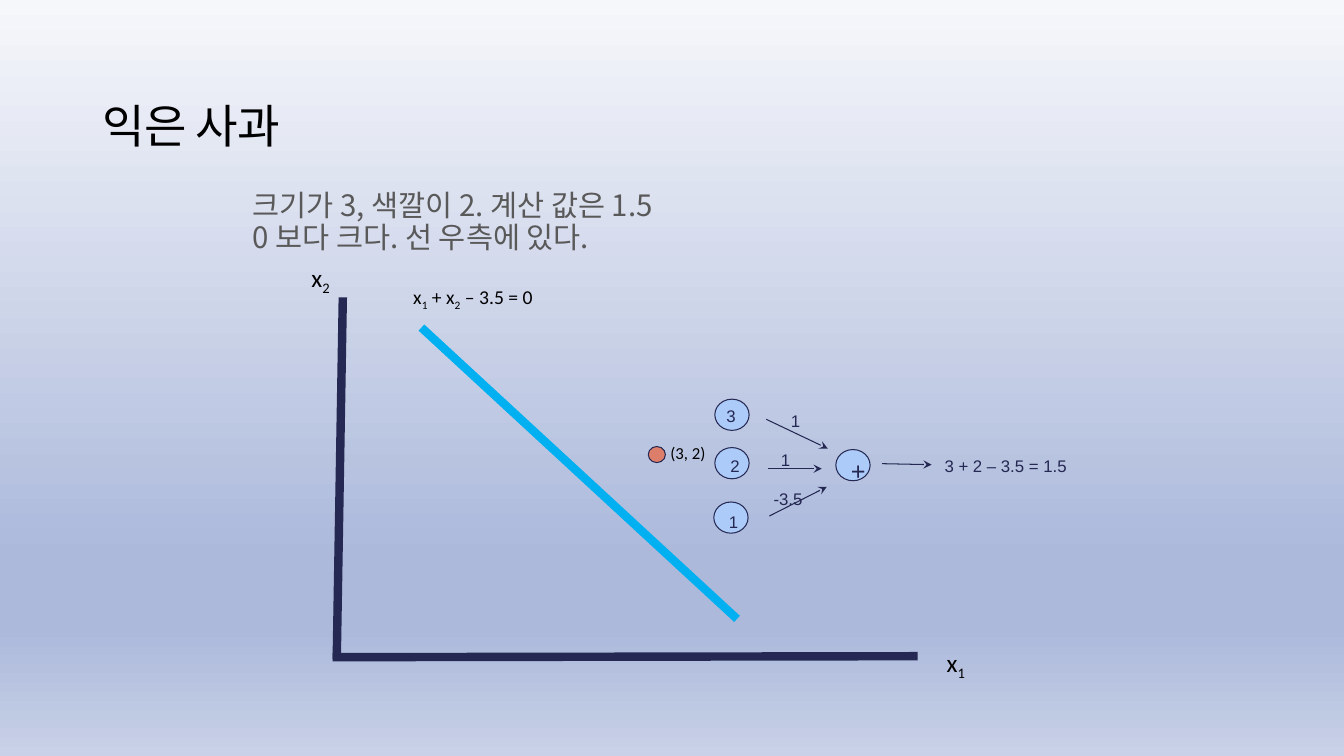
"""Build a slide that classifies a ripe apple with a linear decision boundary."""
from typing import NamedTuple

from lxml import etree
from pptx import Presentation
from pptx.dml.color import RGBColor
from pptx.enum.shapes import MSO_CONNECTOR, MSO_SHAPE
from pptx.enum.text import MSO_ANCHOR, PP_ALIGN
from pptx.oxml.ns import qn
from pptx.slide import Slide
from pptx.util import Emu, Pt

EMU_PER_PX = 9144
STRAIGHT = MSO_CONNECTOR.STRAIGHT
OVAL = MSO_SHAPE.OVAL
POINT = MSO_SHAPE.FLOWCHART_CONNECTOR
LEFT, CENTER = PP_ALIGN.LEFT, PP_ALIGN.CENTER
TOP, MIDDLE = MSO_ANCHOR.TOP, MSO_ANCHOR.MIDDLE
KOREAN_FONT = "Noto Sans CJK KR"
COLORS = {
    "navy": "242852",
    "boundary": "00B0F0",
    "neuron": "ACCBF9",
    "apple": "DD7E6B",
    "black": "000000",
    "gray": "595959",
}
BACKGROUND_STOPS = [(0, "F6F7FB"), (74, "ACB9DB"), (83, "ACB9DB"), (100, "C8D1E7")]


class Box(NamedTuple):
    left: int
    top: int
    width: int
    height: int


class Line(NamedTuple):
    start: tuple[int, int]
    end: tuple[int, int]
    color: str = "navy"
    weight: float = 0.75
    arrow: bool = True


class Label(NamedTuple):
    text: str
    box: Box
    size: int = 12
    align: PP_ALIGN = CENTER


AXES_AND_BOUNDARY = [
    Line((330, 652), (910, 651), weight=6, arrow=False),
    Line((418, 325), (731, 614), "boundary", 6, False),
    Line((340, 295), (334, 654), weight=6, arrow=False),
]
ARROWS = [
    Line((760, 416), (821, 445)),
    Line((762, 465), (815, 465)),
    Line((763, 512), (820, 483)),
    Line((875, 460), (924, 461)),
]
NEURON_CORNERS = [(709, 396), (709, 444), (708, 498), (829, 446)]
PLOT_LABELS = [
    Label("x~2", Box(299, 250, 82, 39), 18),
    Label("x~1~ + x~2~ – 3.5 = 0", Box(400, 273, 195, 39), 14),
    Label("x~1", Box(929, 632, 82, 39), 18),
    Label("(3, 2)", Box(655, 429, 78, 40)),
]
NETWORK_LABELS = [
    Label("3", Box(708, 390, 34, 27)),
    Label("2", Box(705, 439, 48, 30)),
    Label("1", Box(713, 495, 28, 27)),
    Label("+", Box(834, 437, 28, 27), 18),
    Label("1", Box(772, 394, 34, 27)),
    Label("1", Box(762, 433, 34, 27)),
    Label("-3.5", Box(754, 472, 55, 24)),
    Label("3 + 2 – 3.5 = 1.5", Box(927, 439, 167, 27), align=LEFT),
]


def px(value: int) -> Emu:
    """Convert layout pixels to EMU."""
    return Emu(value * EMU_PER_PX)


def rgb(name: str) -> RGBColor:
    """Look up a named colour."""
    return RGBColor.from_string(COLORS[name])


def paint_background(slide: Slide) -> None:
    """Fill the background with a vertical gradient."""
    fill = slide.background.fill
    fill.gradient()
    fill.gradient_angle = 270
    stops = slide.background._cSld.find(".//" + qn("a:gsLst"))
    for stop in list(stops):
        stops.remove(stop)
    for percent, color in BACKGROUND_STOPS:
        stop = etree.SubElement(stops, qn("a:gs"), pos=str(percent * 1000))
        etree.SubElement(stop, qn("a:srgbClr"), val=color)


def add_text(slide: Slide, text: str, box: Box, *, size: int, font: str = "Calibri",
             color: str = "black", align: PP_ALIGN = LEFT, anchor: MSO_ANCHOR = TOP,
             inset: int = 10, line_spacing: float = 1.0, space_after: int = 0,
             tracking: float = 0) -> None:
    """Add a text box; tildes in the text switch subscript on and off."""
    frame = slide.shapes.add_textbox(*map(px, box)).text_frame
    frame.word_wrap = True
    frame.vertical_anchor = anchor
    frame.margin_left = frame.margin_right = px(10)
    frame.margin_top = frame.margin_bottom = px(inset)
    for index, line in enumerate(text.split("\n")):
        paragraph = frame.add_paragraph() if index else frame.paragraphs[0]
        paragraph.alignment = align
        paragraph.line_spacing = line_spacing
        paragraph.space_after = Pt(space_after)
        for position, part in enumerate(line.split("~")):
            run = paragraph.add_run()
            run.text = part
            run.font.size = Pt(size)
            run.font.name = font
            run.font.color.rgb = rgb(color)
            properties = run._r.get_or_add_rPr()
            east_asian = etree.Element(qn("a:ea"), typeface=KOREAN_FONT)
            properties.find(qn("a:latin")).addnext(east_asian)
            if position % 2:
                properties.set("baseline", "-25000")
            if tracking:
                properties.set("spc", str(round(tracking * 100)))


def add_line(slide: Slide, line: Line) -> None:
    """Draw a straight line, with an arrowhead if asked."""
    connector = slide.shapes.add_connector(
        STRAIGHT, *map(px, line.start), *map(px, line.end))
    connector.line.color.rgb = rgb(line.color)
    connector.line.width = Pt(line.weight)
    if line.arrow:
        etree.SubElement(connector.line._get_or_add_ln(), qn("a:tailEnd"), type="stealth")
    etree.SubElement(connector._element.spPr, qn("a:effectLst"))


def add_circle(slide: Slide, kind: MSO_SHAPE, box: Box, color: str) -> None:
    """Draw a filled circle with a thin navy outline."""
    shape = slide.shapes.add_shape(kind, *map(px, box))
    shape.shadow.inherit = False
    shape.fill.solid()
    shape.fill.fore_color.rgb = rgb(color)
    shape.line.color.rgb = rgb("navy")
    shape.line.width = Pt(0.75)


def main() -> None:
    """Build and save the presentation."""
    presentation = Presentation()
    presentation.slide_width, presentation.slide_height = px(1333), px(750)
    slide = presentation.slides.add_slide(presentation.slide_layouts[6])
    paint_background(slide)
    add_text(slide, "익은 사과", Box(92, 92, 1150, 71), size=33, anchor=MIDDLE,
             inset=5, line_spacing=0.9, tracking=-0.6)
    for line in AXES_AND_BOUNDARY:
        add_line(slide, line)
    for left, top in NEURON_CORNERS:
        add_circle(slide, OVAL, Box(left, top, 34, 31), "neuron")
    for arrow in ARROWS:
        add_line(slide, arrow)
    add_circle(slide, POINT, Box(643, 443, 17, 16), "apple")
    for label in PLOT_LABELS:
        add_text(slide, label.text, label.box, size=label.size)
    for label in NETWORK_LABELS:
        add_text(slide, label.text, label.box, size=label.size, font="Arial",
                 color="navy", align=label.align, line_spacing=1.15, space_after=16)
    add_text(slide, "크기가 3, 색깔이 2. 계산 값은 1.5\n0 보다 크다. 선 우측에 있다.",
             Box(241, 180, 820, 82), size=21, font=KOREAN_FONT, color="gray",
             line_spacing=0.9)
    presentation.save("out.pptx")


if __name__ == "__main__":
    main()
